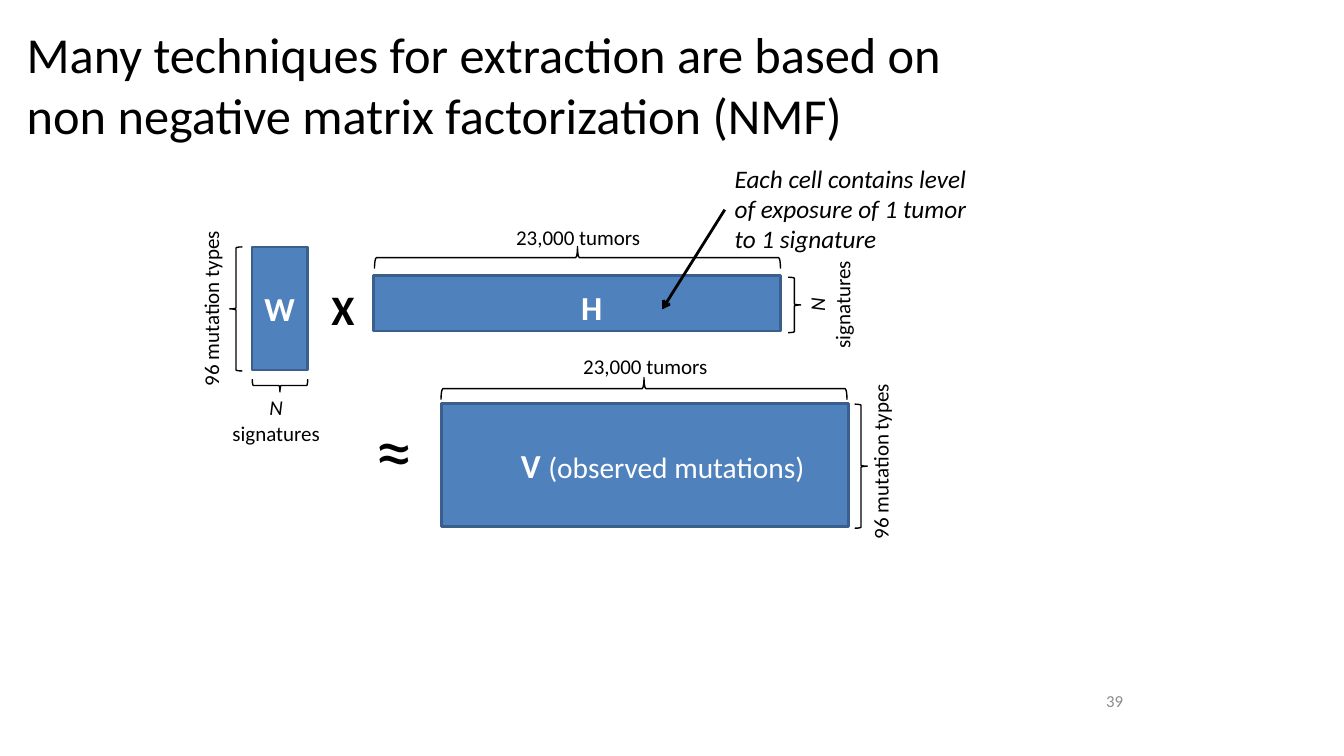
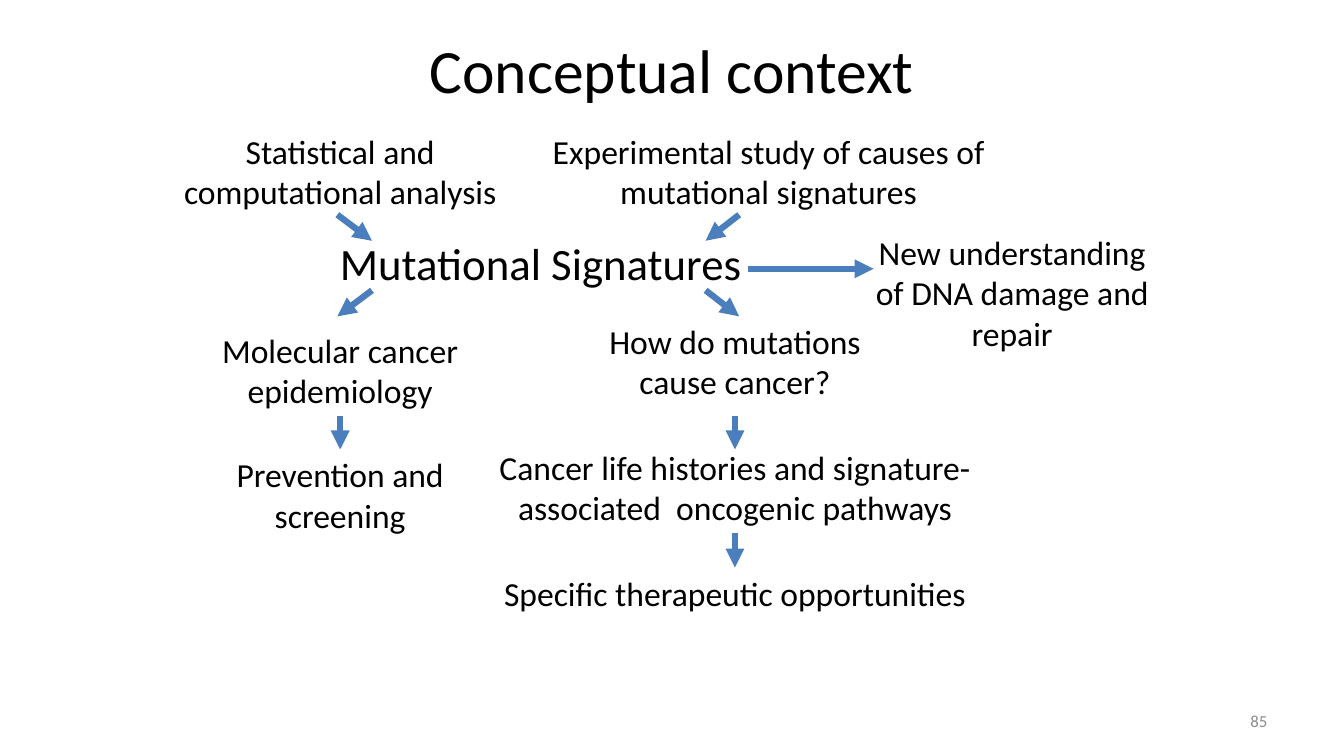
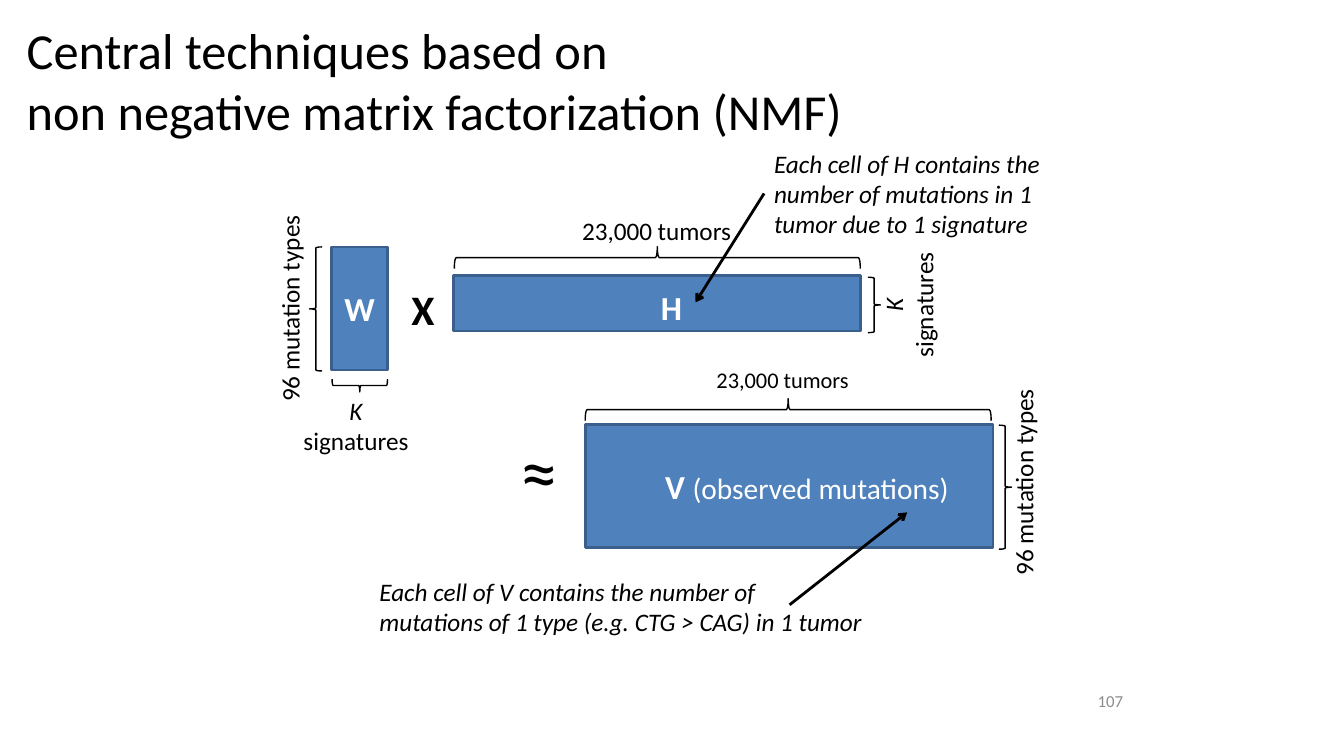
from pptx import Presentation
from pptx.dml.color import RGBColor
from pptx.enum.shapes import MSO_CONNECTOR, MSO_SHAPE
from pptx.enum.text import MSO_ANCHOR, PP_ALIGN
from pptx.oxml.ns import qn
from pptx.util import Pt
from lxml.etree import SubElement

BLACK = RGBColor(0, 0, 0)
WHITE = RGBColor(255, 255, 255)
GRAY = RGBColor(0x8C, 0x8C, 0x8C)
FILL = RGBColor(0x4F, 0x81, 0xBD)
EDGE = RGBColor(0x3A, 0x5F, 0x8C)
BLUE = RGBColor(0x4B, 0x7E, 0xBC)
FONT = "Calibri"
LEFT, MID, RIGHT = PP_ALIGN.LEFT, PP_ALIGN.CENTER, PP_ALIGN.RIGHT


def text(slide, box, lines, size, align=LEFT, color=BLACK, bold=False,
         slant=False, wrap=True, anchor=MSO_ANCHOR.TOP, turn=0):
    item = slide.shapes.add_textbox(*map(Pt, box))
    item.rotation = turn
    frame = item.text_frame
    frame.word_wrap = wrap
    frame.vertical_anchor = anchor
    frame.text = lines
    for para in frame.paragraphs:
        para.alignment = align
        font = para.font
        font.name, font.size = FONT, Pt(size)
        font.bold, font.italic = bold, slant
        font.color.rgb = color
    return frame


def arrow(slide, ends, color, width, head):
    line = slide.shapes.add_connector(MSO_CONNECTOR.STRAIGHT, *map(Pt, ends))
    line.line.color.rgb = color
    line.line.width = Pt(width)
    SubElement(line.line._get_or_add_ln(), qn("a:tailEnd"), type=head)
    SubElement(line._element.spPr, qn("a:effectLst"))


deck = Presentation()
deck.slide_width, deck.slide_height = Pt(960), Pt(540)
blank = deck.slide_layouts[6]
first, flow, last = [deck.slides.add_slide(blank) for _ in range(3)]

heads = [
    (first, (12, 6, 810, 108), 36, LEFT,
     "Many techniques for extraction are based on\v"
     "non negative matrix factorization (NMF)"),
    (flow, (48, 18, 864, 62.6), 44, MID, "Conceptual context"),
    (last, (12, 3, 810, 108), 36, LEFT,
     "Central techniques based on\vnon negative matrix factorization (NMF)"),
]
for slide, box, size, align, title in heads:
    text(slide, box, title, size, align, anchor=MSO_ANCHOR.MIDDLE)

pages = [
    (first, (641.5, 489.6, 167.8, 21.6), "39"),
    (flow, (688.3, 500.4, 224, 28.8), "85"),
    (last, (641.5, 489.6, 167.8, 21.6), "107"),
]
for slide, box, page in pages:
    text(slide, box, page, 12, RIGHT, GRAY, anchor=MSO_ANCHOR.MIDDLE)

plans = [
    (first, 0, 0, 0, 15, "N", (413, 169.5), (461, 261, 15), [
        ("Each cell contains level of exposure of 1 tumor to 1 signature",
         (517.7, 113, 195.8, 72.7), (517.7, 149.8, 473, 221)),
    ]),
    (last, 57, 103, 15, 18, "K", (469, 165), (559, 271, 16), [
        ("Each cell of H contains the number of mutations in 1 tumor "
         "due to 1 signature",
         (545.8, 102.2, 213, 72.7), (545.8, 138.2, 496.8, 216)),
        ("Each cell of V contains the number of mutations of 1 type "
         "(e.g. CTG > CAG) in 1 tumor",
         (264, 408, 360, 51), (564, 432, 648, 366)),
    ]),
]
for slide, dx, vx, vy, size, rank, top, mid, notes in plans:
    mats = [
        (180 + dx, 176.4, 39.6, 88, "W"),
        (266.8 + dx, 196.9, 291, 39.6, ""),
        (315.4 + vx, 288 + vy, 291, 88, ""),
    ]
    for x, y, wide, high, name in mats:
        mat = slide.shapes.add_shape(
            MSO_SHAPE.RECTANGLE, Pt(x), Pt(y), Pt(wide), Pt(high))
        mat.shadow.inherit = False
        mat.fill.solid()
        mat.fill.fore_color.rgb = FILL
        mat.line.color.rgb = EDGE
        mat.line.width = Pt(2)
        if name:
            mat.text_frame.text = name
            mat.text_frame.vertical_anchor = MSO_ANCHOR.MIDDLE
            para = mat.text_frame.paragraphs[0]
            para.alignment = MID
            para.font.name, para.font.size = FONT, Pt(24)
            para.font.bold = True
            para.font.color.rgb = WHITE

    braces = [
        (MSO_SHAPE.LEFT_BRACE, 168.6 + dx, 220.7, 9, 88.6, 0),
        (MSO_SHAPE.LEFT_BRACE, 200 + dx, 275.4, 9, 39.6, 270),
        (MSO_SHAPE.LEFT_BRACE, 567.4 + dx, 217.8, 9, 39.6, 180),
        (MSO_SHAPE.RIGHT_BRACE, 412.5 + dx, 184, 15.8, 290, 270),
        (MSO_SHAPE.RIGHT_BRACE, 460 + vx, 277.6 + vy, 15.8, 290, 270),
        (MSO_SHAPE.LEFT_BRACE, 615 + vx, 333 + vy, 9, 88.6, 180),
    ]
    for kind, x, y, wide, high, turn in braces:
        brace = slide.shapes.add_shape(
            kind, Pt(x - wide / 2), Pt(y - high / 2), Pt(wide), Pt(high))
        brace.shadow.inherit = False
        brace.rotation = turn
        brace.fill.background()
        brace.line.color.rgb = BLACK
        brace.line.width = Pt(1)

    types, count, ranks = "96 mutation types", "23,000 tumors", rank + "\nsignatures"
    labels = [
        (types, 150.3 + dx, 220.5, size, 8.4, 1.65, 270),
        (types, 628.5 + vx, 329.6 + vy, size, 8.4, 1.65, 270),
        (count, *top, size, 6.9, 1.65, 0),
        (count, *mid, 6.9, 1.65, 0),
        (ranks, 197.3 + dx, 278.6 + size * 1.45, size, 5.6, 2.9, 0),
        (ranks, 592.6 + dx, 217.8, size, 5.6, 2.9, 270),
    ]
    for words, x, y, em, cols, rows, turn in labels:
        wide, high = em * cols, em * rows
        box = (x - wide / 2, y - high / 2, wide, high)
        frame = text(slide, box, words, em, MID, wrap=False, turn=turn)
        frame.paragraphs[0].font.italic = words == ranks

    text(slide, (408 + dx, 201.6, 29.5, 36), "H", 24, color=WHITE,
         bold=True, wrap=False)
    text(slide, (229.7 + dx, 198.7, 31, 44), "X", 30, bold=True, wrap=False)
    text(slide, (261.4 + vx, 284.4 + vy, 41.8, 72.7), "≈", 54, wrap=False)
    frame = text(slide, (365 + vx, 314 + vy, 219.6, 36), "V ", 24,
                 color=WHITE, wrap=False)
    frame.paragraphs[0].runs[0].font.bold = True
    run = frame.paragraphs[0].add_run()
    run.text = "(observed mutations)"
    run.font.size = Pt(21)

    for words, box, ends in notes:
        arrow(slide, ends, BLACK, 2, "arrow")
        text(slide, box, words, 18, slant=True)

text(flow, (234, 165, 304.6, 46), "Mutational Signatures", 32, MID, wrap=False)
topics = [
    ("Statistical and computational analysis",
     (123, 90, 240, 65.5), (241, 153.4, 265.7, 172)),
    ("Experimental study of causes of mutational signatures",
     (378, 90, 342, 65.5), (528, 153.4, 504, 172)),
    ("Molecular cancer epidemiology",
     (120, 232, 246, 65.5), (265.7, 207.4, 241, 226)),
    ("How do mutations cause cancer?",
     (426, 225.4, 198, 65.5), (504, 207.4, 528, 226)),
    ("Cancer life histories and signature-associated  oncogenic pathways",
     (330, 315.4, 390, 65.5), (525, 297.4, 525, 321)),
    ("Prevention and screening",
     (120, 321, 246, 65.5), (243, 297.4, 243, 321)),
    ("Specific therapeutic opportunities",
     (336, 405.4, 378, 36), (525, 381, 525, 405.4)),
    ("New understanding\nof DNA damage and repair",
     (606, 162, 234, 94.3), (534, 192, 624, 192)),
]
for words, box, ends in topics:
    text(flow, box, words, 24, MID)
    arrow(flow, ends, BLUE, 4.5, "triangle")

deck.save("out.pptx")
